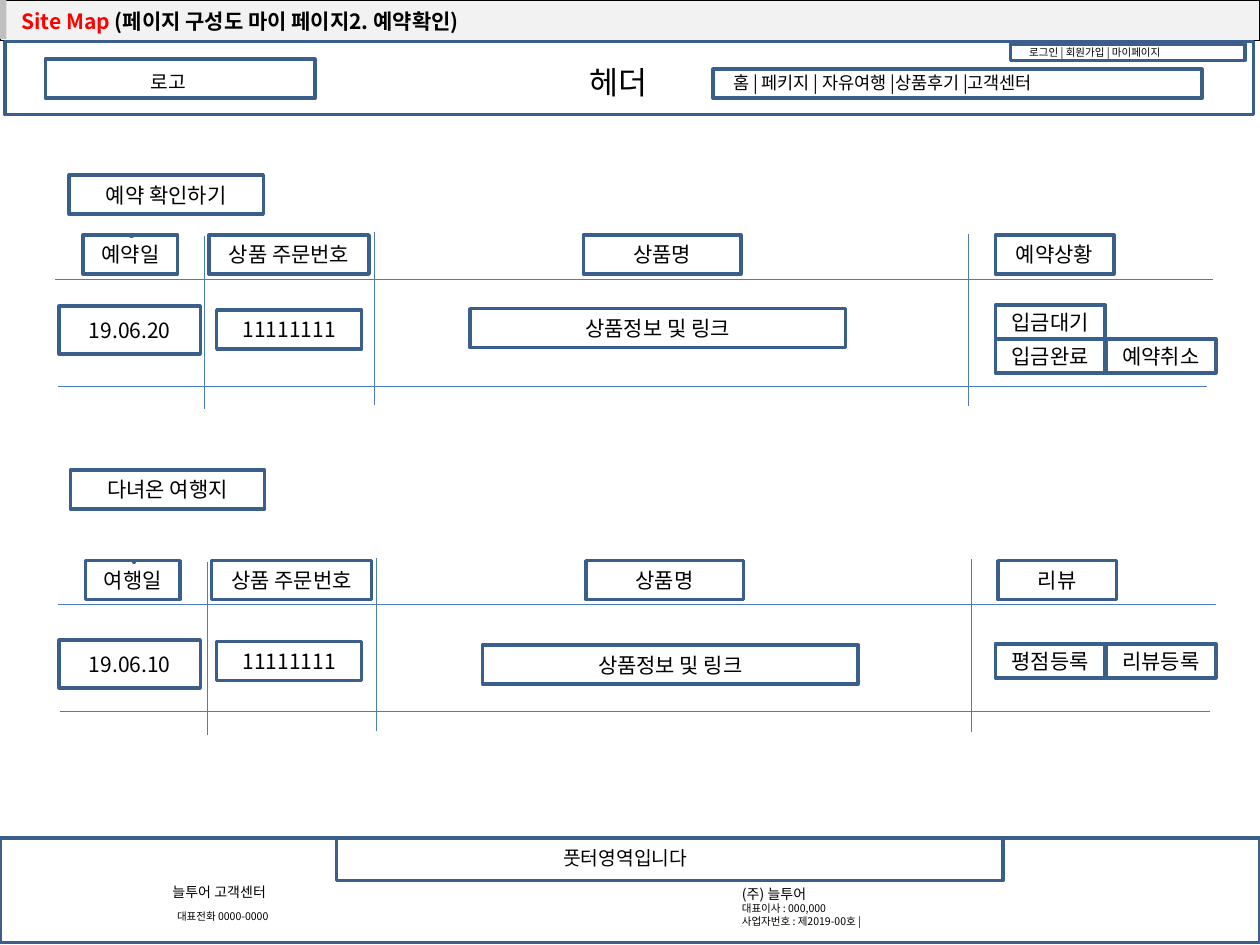
from lxml import etree
from pptx import Presentation, util as u
from pptx.dml import color
from pptx.enum import shapes, text
from pptx.oxml import ns

FONT = "Noto Sans CJK KR"
EDGE, RULE, INK, PAPER = "3A5F8C", "4A7EBB", "000000", "FFFFFF"


def rgb(value):
    """Turn a hex string into a colour."""
    return color.RGBColor.from_string(value)


class Wireframe:
    """Page wireframe on a grid of 100 columns by 75 rows."""

    def __init__(self, deck):
        self.slide = deck.slides.add_slide(deck.slide_layouts[6])
        self.canvas = self.slide.shapes
        self.column = deck.slide_width / 100
        self.row = deck.slide_height / 75

    def place(self, left, top, width, height):
        return [u.Emu(round(value * step)) for value, step in
                zip((left, top, width, height), (self.column, self.row) * 2)]

    def group(self):
        self.canvas = self.slide.shapes.add_group_shape().shapes

    def ungroup(self):
        self.canvas = self.slide.shapes

    def add_words(self, paragraph, words, size, ink=INK, bold=None):
        run = paragraph.add_run()
        run.text = words
        run.font.size, run.font.bold = u.Pt(size), bold
        run.font.color.rgb = rgb(ink)
        run.font.name = FONT
        etree.SubElement(run._r.get_or_add_rPr(), ns.qn("a:ea")).set("typeface", FONT)

    def box(self, at, words="", fill=None, edge=EDGE):
        shape = self.canvas.add_shape(shapes.MSO_SHAPE.RECTANGLE, *self.place(*at))
        shape.shadow.inherit = False
        if fill:
            shape.fill.solid()
            shape.fill.fore_color.rgb = rgb(fill)
        else:
            shape.fill.background()
        if edge:
            shape.line.color.rgb = rgb(edge)
            shape.line.width = u.Pt(2)
        else:
            shape.line.fill.background()
        if words:
            frame = shape.text_frame
            frame.vertical_anchor = text.MSO_ANCHOR.MIDDLE
            frame.paragraphs[0].alignment = text.PP_ALIGN.CENTER
            self.add_words(frame.paragraphs[0], words, 12)

    def button(self, at, words):
        self.box(at, words, PAPER)

    def label(self, at, *lines, wrap=True, edge=None):
        note = self.canvas.add_textbox(*self.place(*at))
        if edge:
            note.line.color.rgb = rgb(edge)
            note.line.width = u.Pt(0.75)
        frame = note.text_frame
        frame.word_wrap = wrap
        frame.auto_size = text.MSO_AUTO_SIZE.SHAPE_TO_FIT_TEXT
        for number, runs in enumerate(lines):
            paragraph = frame.add_paragraph() if number else frame.paragraphs[0]
            for words, size in runs:
                self.add_words(paragraph, words, size)

    def rule(self, x1, y1, x2, y2):
        left, top, right, bottom = self.place(x1, y1, x2, y2)
        line = self.canvas.add_connector(
            shapes.MSO_CONNECTOR.STRAIGHT, left, top, right, bottom)
        line.line.color.rgb = rgb(RULE)
        line.line.width = u.Pt(0.5)
        etree.SubElement(line._element.spPr, ns.qn("a:effectLst"))

    def title(self, at, *runs):
        cell = self.canvas.add_table(1, 1, *self.place(*at)).table.cell(0, 0)
        cell.fill.solid()
        cell.fill.fore_color.rgb = rgb("F2F2F2")
        cell.margin_left = u.Inches(0.17)
        cell.margin_top = cell.margin_bottom = u.Inches(0.03)
        cell.vertical_anchor = text.MSO_ANCHOR.MIDDLE
        for place, side in enumerate(("lnL", "lnR", "lnT", "lnB")):
            border = etree.Element(ns.qn(f"a:{side}"), w=str(u.Pt(0.75)))
            paint = etree.SubElement(border, ns.qn("a:solidFill"))
            etree.SubElement(paint, ns.qn("a:srgbClr"), val=INK)
            cell._tc.get_or_add_tcPr().insert(place, border)
        for words, ink in runs:
            self.add_words(cell.text_frame.paragraphs[0], words, 12, ink, True)

    def listing(self, left, top, headings):
        for y, start, end in ((3.5, 4.4, 96.3), (12, 4.6, 95.8)):
            self.rule(left + start, top + y, left + end, top + y)
        for x, start in ((16.25, 0.1), (29.7, -0.2), (76.9, -0.1)):
            self.rule(left + x, top + start, left + x, top + start + 13.7)
        columns = ((6.6, 7.5), (16.6, 12.7), (46.3, 12.5), (79, 9.4))
        for (x, width), heading in zip(columns, headings):
            self.button((left + x, top, width, 3.1), heading)
        self.box((left + 10.4, top, 0.1, 0.1), fill="4F81BD")


def main():
    deck = Presentation()
    deck.slide_width, deck.slide_height = u.Inches(10), u.Inches(7.5)
    page = Wireframe(deck)
    page.title((0, 0, 100, 3.2), ("Site Map ", "FF0000"),
               ("(페이지 구성도 마이 페이지2. 예약확인)", INK))
    page.box((0, 0, 0.5, 3.1), fill="BFBFBF", edge=None)

    page.group()
    page.label((80.7, 3.2, 17.9, 2), [("로그인 | 회원가입 | 마이페이지", 6)], edge=PAPER)
    page.box((0.4, 3.3, 99.1, 5.8))
    page.label((45.8, 4.5, 7, 4), [("헤더", 18)], wrap=False, edge=PAPER)
    page.box((3.6, 4.7, 21.4, 3.1))
    page.box((56.6, 5.5, 38.8, 2.3))
    page.label((11, 5.1, 5, 2.8), [("로고", 11)], wrap=False)
    page.label((57.2, 5.2, 40.5, 2.7),
               [("홈 | 페키지 | 자유여행 |상품후기 |고객센터", 10)])
    page.box((80.2, 3.5, 18.6, 1.3))

    page.group()
    page.box((26.7, 66.5, 52.9, 3.4))
    page.label((43.7, 66.7, 13.2, 2.8), [("풋터영역입니다", 11)], edge=PAPER)
    page.box((0, 66.5, 100, 8.3))
    page.label((12.7, 69.6, 20.4, 4.3), [("늘투어 고객센터", 8)],
               [(" ", 12), ("대표전화 0000-0000", 6)])
    page.label((57.9, 69.8, 29.4, 4.3), [("(주) 늘투어", 8)],
               [("대표이사 : 000,000", 6)], [("사업자번호 : 제2019-00호 |", 6)])

    page.ungroup()
    page.button((5.5, 13.9, 15.4, 3.1), "예약 확인하기")
    page.listing(0, 18.65, ("예약일", "상품 주문번호", "상품명", "예약상황"))
    page.button((5.6, 37.3, 15.4, 3.1), "다녀온 여행지")
    page.listing(0.2, 44.5, ("여행일", "상품 주문번호", "상품명", "리뷰"))

    entries = (("19.06.20", 24.3, 24.6, 37.3, 24.5), ("19.06.10", 50.8, 50.9, 38.3, 51.2))
    for date, date_top, order_top, link_left, link_top in entries:
        page.button((4.7, date_top, 11.2, 3.8), date)
        page.button((17.2, order_top, 11.5, 3.1), "11111111")
        page.button((link_left, link_top, 29.8, 3.1), "상품정보 및 링크")
    actions = (("예약취소", 87.8, 26.9), ("입금완료", 79, 26.9), ("입금대기", 79, 24.2),
               ("평점등록", 79, 51.1), ("리뷰등록", 87.8, 51.1))
    for action, left, top in actions:
        page.button((left, top, 8.7, 2.7), action)
    deck.save("out.pptx")


if __name__ == "__main__":
    main()
